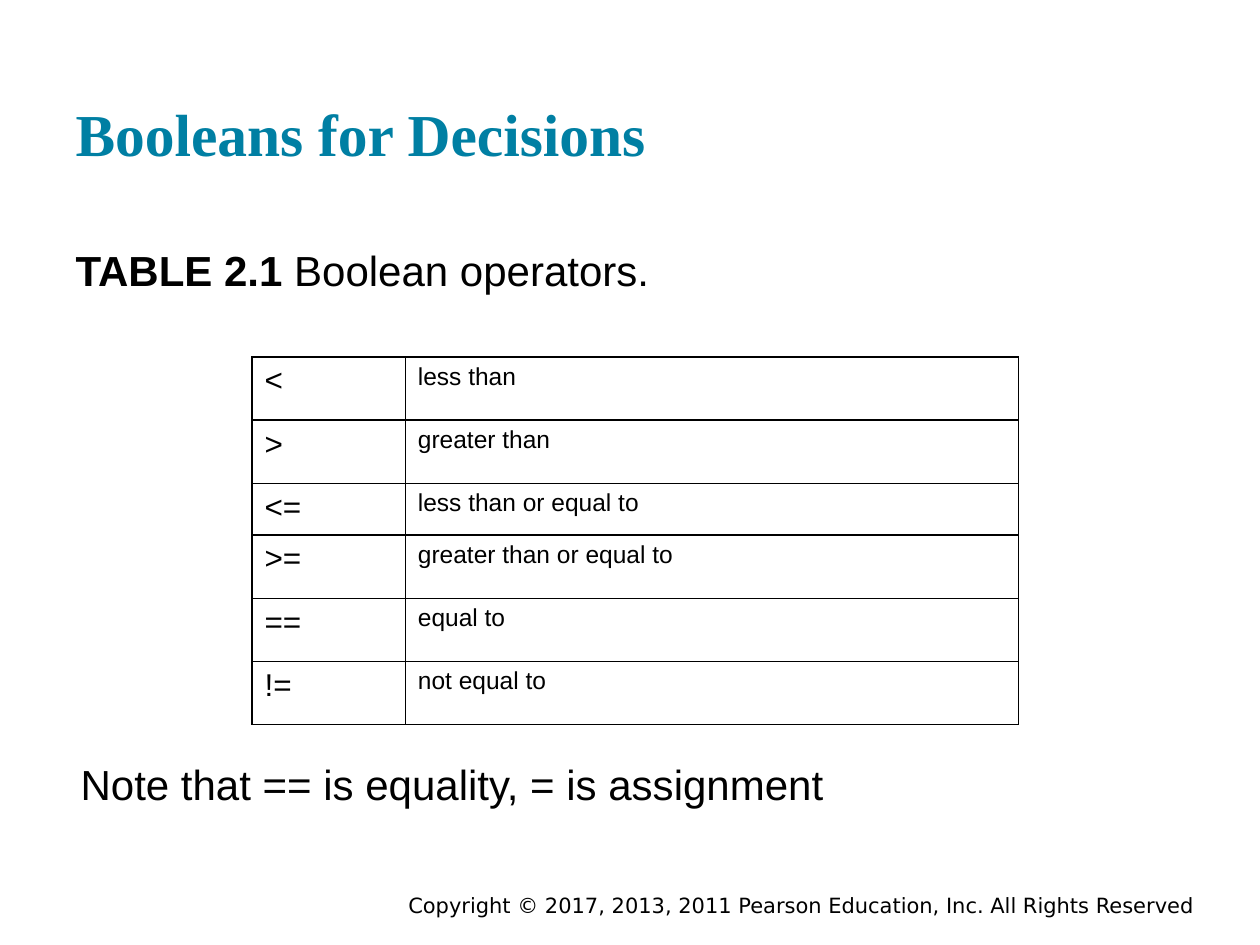
from pptx import Presentation
from pptx.dml.color import RGBColor as RGB
from pptx.enum.text import MSO_ANCHOR as Anchor, MSO_AUTO_SIZE as Fit, PP_ALIGN as Align
from pptx.oxml.ns import qn
from pptx.util import Pt
from lxml.etree import SubElement as Sub

BLACK = RGB(0, 0, 0)
TEAL = RGB(0x00, 0x7F, 0xA3)
SIGNS = [
    ("<", "less than"),
    (">", "greater than"),
    ("<=", "less than or equal to"),
    (">=", "greater than or equal to"),
    ("==", "equal to"),
    ("!=", "not equal to"),
]


def style(font, name, size, color=BLACK, bold=False):
    """Set the face, size, colour and weight of a font."""
    font.name, font.size, font.bold = name, Pt(size), bold
    font.color.rgb = color


def place(shape, box, pad=7.2):
    """Move a text shape to its box and set its margins."""
    shape.left, shape.top, shape.width, shape.height = map(Pt, box)
    frame = shape.text_frame
    frame.word_wrap, frame.auto_size = True, Fit.NONE
    frame.margin_left = frame.margin_right = Pt(7.2)
    frame.margin_top = frame.margin_bottom = Pt(pad)
    return frame


def add_title(slide, text):
    """Fill the title, set at the left on its base line."""
    frame = place(slide.shapes.title, (36, 17.3, 648, 86.4))
    frame.vertical_anchor = Anchor.BOTTOM
    frame.text = text
    para = frame.paragraphs[0]
    para.alignment = Align.LEFT
    style(para.runs[0].font, "Times New Roman", 34, TEAL, True)


def add_body(holder, left, top, parts):
    """Fill a body placeholder with (text, bold) parts and no bullet."""
    para = place(holder, (left, top, 648, 47.5)).paragraphs[0]
    props = para._p.get_or_add_pPr()
    props.set("marL", "0")
    props.set("indent", "0")
    Sub(props, qn("a:buNone"))
    para.space_before = Pt(0)
    for text, bold in parts:
        run = para.add_run()
        run.text = text
        style(run.font, "Arial", 24, bold=bold)


def add_edges(cell):
    """Draw thin black lines on all sides of a cell."""
    props = cell._tc.get_or_add_tcPr()
    for spot, side in enumerate(("lnL", "lnR", "lnT", "lnB")):
        line = props.makeelement(qn("a:" + side), {"w": str(Pt(1))})
        fill = Sub(line, qn("a:solidFill"))
        Sub(fill, qn("a:srgbClr"), val=str(BLACK))
        props.insert(spot, line)


def add_grid(slide):
    """Add the table of operators and their meanings."""
    frame = slide.shapes.add_table(
        len(SIGNS), 2, Pt(144), Pt(204), Pt(438), Pt(210))
    table = frame.table
    table.first_row = table.horz_banding = False
    for col, width in zip(table.columns, (87.6, 350.4)):
        col.width = Pt(width)
    for row, texts in zip(table.rows, SIGNS):
        row.height = Pt(29.6 if texts[0] == "<=" else 36.1)
        for cell, text, size in zip(row.cells, texts, (18, 14)):
            cell.text = text
            cell.fill.background()
            style(cell.text_frame.paragraphs[0].runs[0].font, "Arial", size)
            add_edges(cell)


def add_credit(slide, text):
    """Add the copyright line at the lower right."""
    box = slide.shapes.add_textbox(0, 0, 0, 0)
    frame = place(box, (126, 506.2, 563.8, 15.8), 3.6)
    frame.text = text
    para = frame.paragraphs[0]
    para.alignment = Align.RIGHT
    style(para.runs[0].font, "DejaVu Sans", 12)


def main():
    """Build the slide and save it."""
    deck = Presentation()
    deck.slide_width, deck.slide_height = Pt(720), Pt(540)
    slide = deck.slides.add_slide(deck.slide_layouts.get_by_name("Two Content"))
    head, note = list(slide.placeholders)[1:]
    add_credit(slide, "Copyright © 2017, 2013, 2011 Pearson Education, Inc. "
                      "All Rights Reserved")
    add_title(slide, "Booleans for Decisions")
    add_body(head, 36, 132.5, [("TABLE 2.1 ", True), ("Boolean operators.", False)])
    add_grid(slide)
    add_body(note, 38.9, 426.2, [("Note that == is equality, = is assignment", False)])
    deck.save("out.pptx")


if __name__ == "__main__":
    main()
